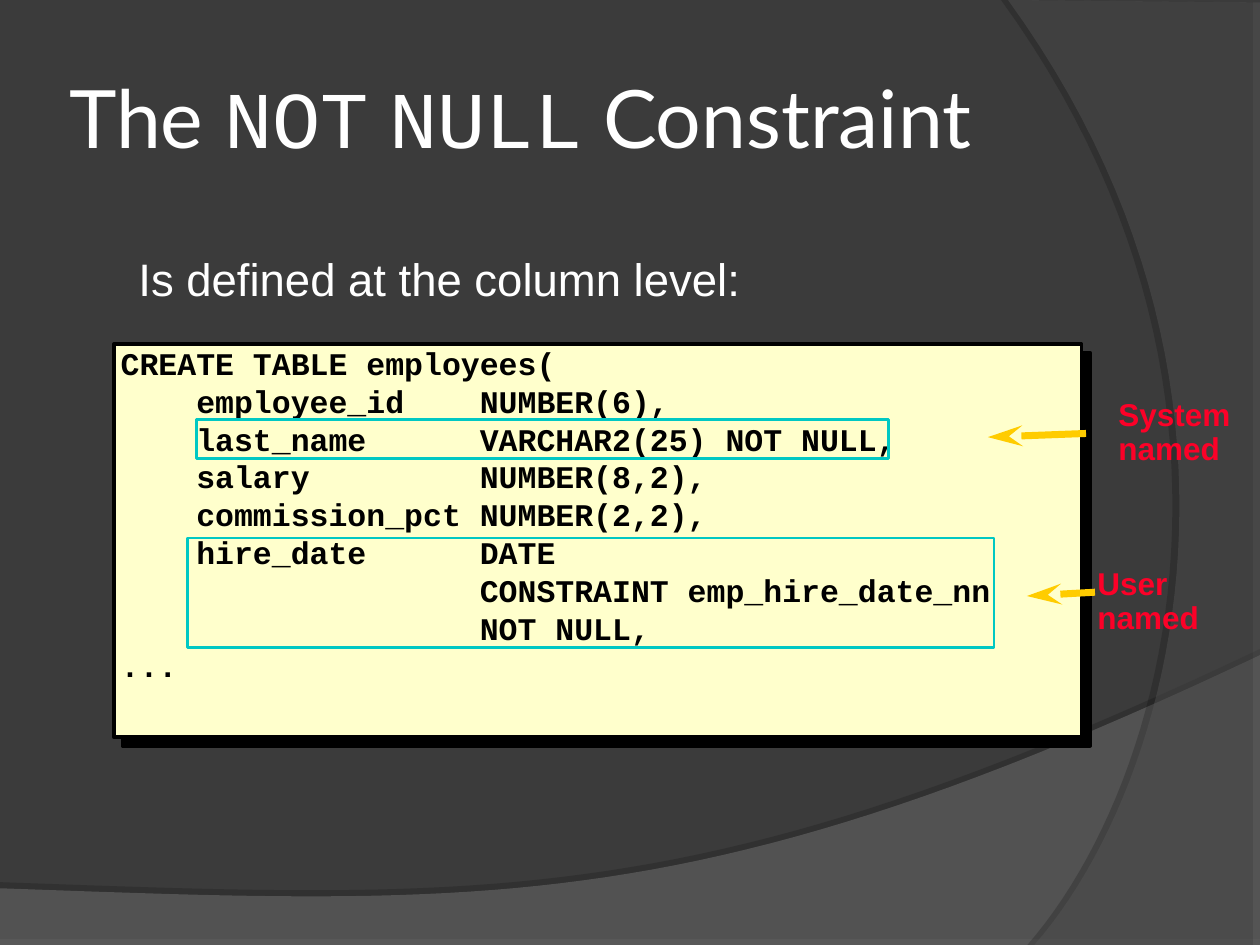
from lxml import etree
from pptx import Presentation
from pptx import util as u
from pptx.dml.color import RGBColor
from pptx.enum import shapes, text
from pptx.oxml import ns

COLOURS = {
    "background": "3B3B3B", "wave": "7C7C7C", "arc": "595959",
    "white": "FFFFFF", "black": "000000", "paper": "FFFFCC",
    "highlight": "00C8C3", "label": "FC0128", "arrow": "FFCC00",
}
CODE = """CREATE TABLE employees(
    employee_id    NUMBER(6),
    last_name      VARCHAR2(25) NOT NULL,
    salary         NUMBER(8,2),
    commission_pct NUMBER(2,2),
    hire_date      DATE
                   CONSTRAINT emp_hire_date_nn
                   NOT NULL,
..."""


def colour(name):
    return RGBColor.from_string(COLOURS[name])


def add_element(parent, tag, **attributes):
    return etree.SubElement(parent, ns.qn(tag), attributes)


def bezier(start, control_1, control_2, end, steps=48):
    """Return points along a cubic curve, both ends included."""
    points = []
    for step in range(steps + 1):
        t = step / steps
        weights = ((1 - t) ** 3, 3 * t * (1 - t) ** 2, 3 * t * t * (1 - t), t ** 3)
        points.append(tuple(
            sum(weight * value for weight, value in zip(weights, axis))
            for axis in zip(start, control_1, control_2, end)))
    return points


class SlideBuilder:
    def __init__(self, slide):
        self.slide = slide
        self.body_font = "Arial"
        self.title_font = "Lato"
        self.code_font = "Courier New"

    def background(self, name):
        fill = self.slide.background.fill
        fill.solid()
        fill.fore_color.rgb = colour(name)

    def shadow(self, shape, opacity, distance, degrees):
        shape.shadow.inherit = False
        effects = shape._element.spPr.find(ns.qn("a:effectLst"))
        outer = add_element(effects, "a:outerShdw", blurRad="0",
                            dist=str(u.Pt(distance)), dir=str(degrees * 60000),
                            algn="ctr", rotWithShape="0")
        shade = add_element(outer, "a:srgbClr", val=COLOURS["black"])
        add_element(shade, "a:alpha", val=str(opacity * 1000))

    def outline(self, points, fill, opacity):
        """Draw a closed, partly transparent outline without a border."""
        corners = [(u.Pt(x), u.Pt(y)) for x, y in points]
        builder = self.slide.shapes.build_freeform(*corners[0], scale=1.0)
        builder.add_line_segments(corners[1:], close=True)
        shape = builder.convert_to_shape()
        shape.fill.solid()
        shape.fill.fore_color.rgb = colour(fill)
        shade = shape._element.spPr.find(ns.qn("a:solidFill"))[0]
        add_element(shade, "a:alpha", val=str(opacity * 1000))
        shape.line.fill.background()
        return shape

    def rectangle(self, left, top, width, height, line, weight, fill=None):
        shape = self.slide.shapes.add_shape(
            shapes.MSO_SHAPE.RECTANGLE,
            u.Pt(left), u.Pt(top), u.Pt(width), u.Pt(height))
        shape.shadow.inherit = False
        if fill:
            shape.fill.solid()
            shape.fill.fore_color.rgb = colour(fill)
        else:
            shape.fill.background()
        shape.line.color.rgb = colour(line)
        shape.line.width = u.Pt(weight)
        return shape

    def text_box(self, left, top, width, height, content, size, name,
                 font=None, bold=False, spacing=None, inset=7.2, middle=False):
        box = self.slide.shapes.add_textbox(
            u.Pt(left), u.Pt(top), u.Pt(width), u.Pt(height))
        frame = box.text_frame
        frame.word_wrap = True
        frame.margin_left = frame.margin_right = u.Pt(inset)
        frame.margin_top = frame.margin_bottom = u.Pt(3.6)
        frame.vertical_anchor = (text.MSO_ANCHOR.MIDDLE if middle
                                 else text.MSO_ANCHOR.TOP)
        frame.text = content
        for paragraph in frame.paragraphs:
            paragraph.line_spacing = spacing
            for run in paragraph.runs:
                self.format_run(run, size, name, font or self.body_font, bold)
        return box

    def format_run(self, run, size, name, font, bold=False):
        run.font.size = u.Pt(size)
        run.font.name = font
        run.font.bold = bold
        run.font.color.rgb = colour(name)

    def title(self, left, top, width, height, parts):
        """Write one line from (wording, font) parts."""
        box = self.text_box(left, top, width, height, "", 46, "white",
                            inset=3.6, middle=True)
        for wording, font in parts:
            run = box.text_frame.paragraphs[0].add_run()
            run.text = wording
            self.format_run(run, 46, "white", font)

    def arrow(self, tip, tail):
        connector = self.slide.shapes.add_connector(
            shapes.MSO_CONNECTOR.STRAIGHT, *(u.Pt(value) for value in tip + tail))
        connector.line.color.rgb = colour("arrow")
        connector.line.width = u.Pt(4)
        add_element(connector.line._get_or_add_ln(), "a:headEnd",
                    type="stealth", w="med", len="lg")
        add_element(connector._element.spPr, "a:effectLst")


def main():
    presentation = Presentation()
    presentation.slide_width = u.Pt(720)
    presentation.slide_height = u.Pt(540)
    builder = SlideBuilder(presentation.slides.add_slide(presentation.slide_layouts[6]))
    builder.background("background")

    wave_curve = bezier((720, 374.4), (402.5, 524.9), (281.5, 517.7), (0, 507.6))
    wave = builder.outline([(0, 540), (720, 540)] + wave_curve, "wave", 45)
    builder.shadow(wave, 35, 3.5, 270)
    arc_curve = bezier((591.1, 540), (673.2, 445.7), (733, 216), (576, 0))
    arc = builder.outline([(720, 1.4), (720, 540)] + arc_curve, "arc", 40)
    builder.shadow(arc, 45, 4, 180)

    panel = builder.rectangle(65, 196.6, 553, 224.6, "black", 2, "paper")
    builder.shadow(panel, 100, 7.1, 45)
    builder.text_box(61.9, 195.1, 520, 197.3, CODE, 18, "black",
                     font=builder.code_font, bold=True,
                     spacing=u.Pt(21.6), middle=True)

    builder.title(36, 21.6, 588.2, 90, [
        ("The ", builder.title_font), ("NOT", builder.code_font),
        (" ", builder.title_font), ("NULL", builder.code_font),
        (" Constraint", builder.title_font)])
    builder.text_box(69.1, 146, 581.8, 32.4, "Is defined at the column level:",
                     26, "white", spacing=0.8, inset=10)

    for left, top, width, height in ((112.3, 239.8, 395.3, 22.3),
                                     (107.3, 307.4, 460.8, 62.6)):
        builder.rectangle(left, top, width, height, "highlight", 1.5)

    for wording, left, top, tip, tail in (
            ("System\nnamed", 632, 224.6, (564.5, 249.8), (620.6, 247.7)),
            ("User\nnamed", 620, 321.1, (586.8, 340.6), (625.7, 338.4))):
        builder.text_box(left, top, 86, 46.1, wording, 18, "label",
                         bold=True, spacing=0.9)
        builder.arrow(tip, tail)

    presentation.save("out.pptx")


if __name__ == "__main__":
    main()
